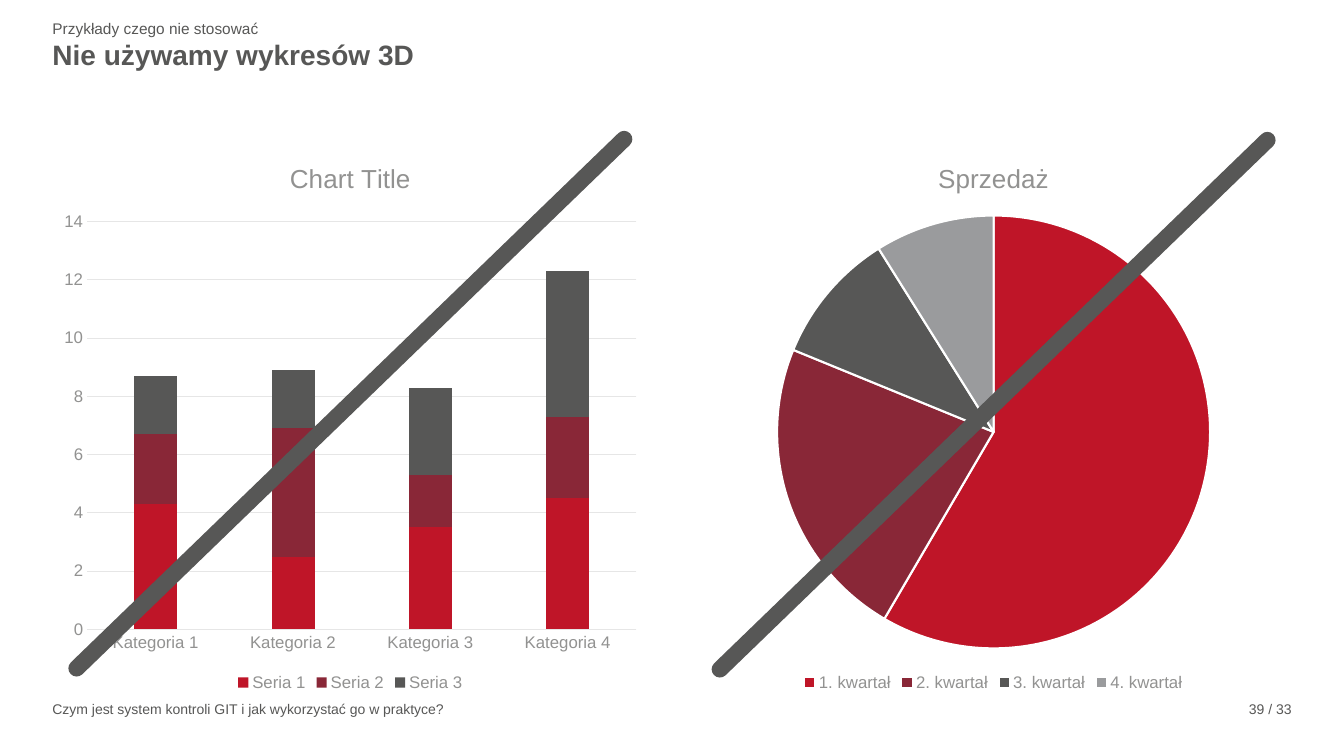
from lxml import etree
from pptx import Presentation
from pptx.chart.data import CategoryChartData
from pptx.dml.color import RGBColor
from pptx.enum.chart import XL_CHART_TYPE as ChartType, XL_LEGEND_POSITION as LegendPosition
from pptx.enum.chart import XL_TICK_MARK as TickMark
from pptx.enum.shapes import MSO_CONNECTOR as Connector
from pptx.enum.text import MSO_ANCHOR as Anchor, PP_ALIGN as Align
from pptx.oxml.ns import qn
from pptx.util import Inches, Pt

COLORS = {
    "dark": "575756",
    "label": "929291",
    "grid": "E6E6E6",
    "red": "BF1528",
    "wine": "892737",
    "gray": "9A9B9D",
    "white": "FFFFFF",
}
FONT = "Arial"
LEFT, RIGHT = 0.52, 6.9
palette = ["red", "wine", "dark", "gray"]


def style_font(font, size, color, bold=False):
    font.name = FONT
    font.size = Pt(size)
    font.bold = bold
    font.color.rgb = RGBColor.from_string(COLORS[color])


def add_text(text, left, top, width, height, size=10, bold=False, align=Align.LEFT,
             anchor=Anchor.TOP, inset=0, spacing=1.0):
    box = page.shapes.add_textbox(Inches(left), Inches(top), Inches(width), Inches(height))
    frame = box.text_frame
    frame.word_wrap = True
    frame.vertical_anchor = anchor
    frame.margin_left = frame.margin_right = 0
    frame.margin_top = frame.margin_bottom = Inches(inset)
    para = frame.paragraphs[0]
    para.alignment = align
    para.line_spacing = spacing
    span = para.add_run()
    span.text = text
    style_font(span.font, size, "dark", bold)


deck = Presentation()
deck.slide_width, deck.slide_height = Inches(13.33), Inches(7.5)
page = deck.slides.add_slide(deck.slide_layouts[6])

# Headings and footer
add_text("Nie używamy wykresów 3D", LEFT, 0.36, 10.39, 0.79,
         size=20, bold=True, inset=0.05, spacing=0.9)
add_text("Przykłady czego nie stosować", LEFT, 0.17, 10.39, 0.2,
         size=11, anchor=Anchor.MIDDLE, inset=0.05, spacing=1.1)
add_text("Czym jest system kontroli GIT i jak wykorzystać go w praktyce?",
         LEFT, 6.95, 10.3, 0.2)
add_text("39 / 33", 10.93, 6.95, 1.88, 0.2, align=Align.RIGHT)

# Chart data
column_data = CategoryChartData()
column_data.categories = [f"Kategoria {number}" for number in range(1, 5)]
column_data.add_series("Seria 1", (4.3, 2.5, 3.5, 4.5))
column_data.add_series("Seria 2", (2.4, 4.4, 1.8, 2.8))
column_data.add_series("Seria 3", (2, 2, 3, 5))

pie_data = CategoryChartData()
pie_data.categories = [f"{number}. kwartał" for number in range(1, 5)]
pie_data.add_series("Sprzedaż", (59, 23, 10, 9))

# Both charts share frame size, title and legend style
charts = []
for kind, data, left, title in (
    (ChartType.COLUMN_STACKED, column_data, LEFT, "Chart Title"),
    (ChartType.PIE, pie_data, RIGHT, "Sprzedaż"),
):
    chart = page.shapes.add_chart(kind, Inches(left), Inches(1.39),
                                  Inches(5.91), Inches(5.51), data).chart
    style_font(chart.font, 10, "dark")
    chart.has_title = True
    chart.chart_title.include_in_layout = False
    span = chart.chart_title.text_frame.paragraphs[0].add_run()
    span.text = title
    style_font(span.font, 18.6, "label")
    chart.has_legend = True
    chart.legend.position = LegendPosition.BOTTOM
    chart.legend.include_in_layout = False
    style_font(chart.legend.font, 12, "label")
    charts.append(chart)
column_chart, pie_chart = charts

# Stacked columns
columns = column_chart.plots[0]
columns.gap_width, columns.overlap = 219, 100
columns.vary_by_categories = False
for series, color in zip(columns.series, palette):
    series.format.fill.solid()
    series.format.fill.fore_color.rgb = RGBColor.from_string(COLORS[color])
for axis in (column_chart.category_axis, column_chart.value_axis):
    axis.major_tick_mark = axis.minor_tick_mark = TickMark.NONE
    style_font(axis.tick_labels.font, 12, "label")
value_axis = column_chart.value_axis
value_axis.minimum_scale, value_axis.maximum_scale, value_axis.major_unit = 0, 14, 2
value_axis.format.line.fill.background()
value_axis.has_major_gridlines = True
for line in (column_chart.category_axis.format.line, value_axis.major_gridlines.format.line):
    line.color.rgb = RGBColor.from_string(COLORS["grid"])
    line.width = Pt(0.75)

# Pie slices
pie = pie_chart.plots[0]
pie.vary_by_categories = True
for index, color in enumerate(palette):
    look = pie.series[0].points[index].format
    look.fill.solid()
    look.fill.fore_color.rgb = RGBColor.from_string(COLORS[color])
    look.line.color.rgb = RGBColor.from_string(COLORS["white"])
    look.line.width = Pt(1.5)

# Strike-through lines with round ends
for start_x, start_y in ((6.19, 1.38), (12.57, 1.39)):
    strike = page.shapes.add_connector(Connector.STRAIGHT, Inches(start_x), Inches(start_y),
                                       Inches(start_x - 5.43), Inches(start_y + 5.25))
    strike.line.color.rgb = RGBColor.from_string(COLORS["dark"])
    strike.line.width = Pt(11.75)
    properties = strike.element.spPr
    properties.find(qn("a:ln")).set("cap", "rnd")
    etree.SubElement(properties, qn("a:effectLst"))

deck.save("out.pptx")
